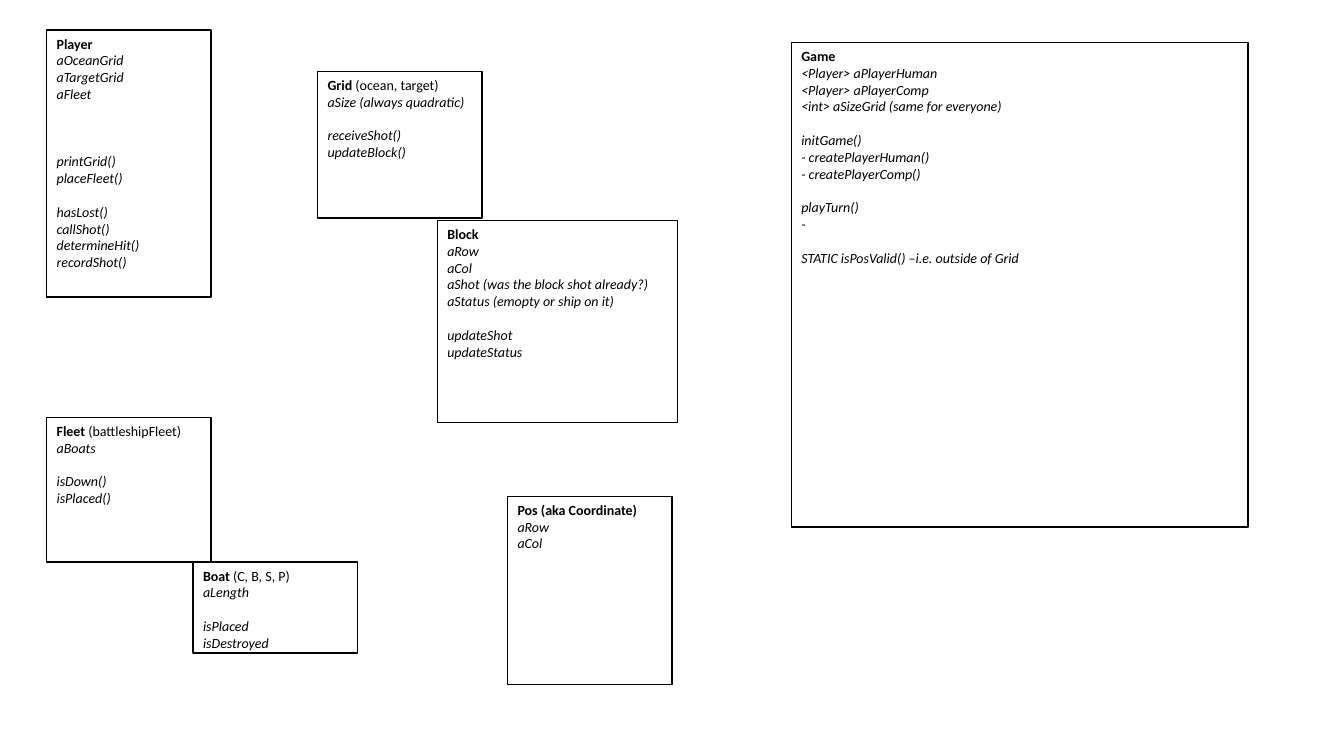
"""Draw the class boxes of a battleship game on one slide."""
from dataclasses import dataclass

from pptx import Presentation
from pptx.dml.color import RGBColor
from pptx.enum.shapes import MSO_SHAPE
from pptx.enum.text import MSO_ANCHOR, PP_ALIGN
from pptx.slide import Slide
from pptx.text.text import _Paragraph, _Run
from pptx.util import Pt

FONT = "Calibri"
SIZE = 10
LINE_HEIGHT = 12
BLACK = "000000"
BOX_WIDTH = 117.4


@dataclass(frozen=True)
class ClassBox:
    name: str
    note: str
    left: float
    top: float
    height: float
    groups: tuple[tuple[str, ...], ...]
    width: float = BOX_WIDTH
    method_gap: int = 1


BOXES = (
    ClassBox("Player", "", 33.4, 21.5, 190.8, (
        ("aOceanGrid", "aTargetGrid", "aFleet"),
        ("printGrid()", "placeFleet()"),
        ("hasLost()", "callShot()", "determineHit()", "recordShot()"),
    ), method_gap=3),
    ClassBox("Grid", " (ocean, target)", 226.9, 51, 104.8, (
        ("aSize (always quadratic)",),
        ("receiveShot()", "updateBlock()"),
    )),
    ClassBox("Boat", " (C, B, S, P)", 138, 401.5, 65, (
        ("aLength",),
        ("isPlaced", "isDestroyed"),
    )),
    ClassBox("Block", "", 312.4, 157.5, 144.2, (
        ("aRow", "aCol", "aShot (was the block shot already?)",
         "aStatus (emopty or ship on it)"),
        ("updateShot", "updateStatus"),
    ), width=171.4),
    ClassBox("Fleet", " (battleshipFleet)", 33.4, 298.2, 103.4, (
        ("aBoats",),
        ("isDown()", "isPlaced()"),
    )),
    ClassBox("Game", "", 565.3, 30.3, 346.2, (
        ("<Player> aPlayerHuman", "<Player> aPlayerComp",
         "<int> aSizeGrid (same for everyone)"),
        ("initGame()", "- createPlayerHuman()", "- createPlayerComp()"),
        ("playTurn()", "-"),
        ("STATIC isPosValid() –i.e. outside of Grid",),
    ), width=326.2),
    ClassBox("Pos (aka Coordinate)", "", 362.6, 354.5, 134.4, (
        ("aRow", "aCol"),
    )),
)


def rgb(color: str) -> RGBColor:
    """Turn a hex string into a colour."""
    return RGBColor.from_string(color)


def format_run(r: _Run, bold: bool = False, italic: bool = False) -> None:
    """Apply the common font to a run."""
    r.font.name = FONT
    r.font.size = Pt(SIZE)
    r.font.bold = bold
    r.font.italic = italic
    r.font.color.rgb = rgb(BLACK)


def format_heading(p: _Paragraph, box: ClassBox) -> None:
    """Write the class name in bold, followed by its note."""
    p.alignment = PP_ALIGN.LEFT
    p.text = box.name
    format_run(p.runs[0], bold=True)
    if box.note:
        r = p.add_run()
        r.text = box.note
        format_run(r)


def draw_box(slide: Slide, box: ClassBox) -> None:
    """Draw one outlined class with its groups of members."""
    sp = slide.shapes.add_shape(MSO_SHAPE.RECTANGLE, Pt(box.left), Pt(box.top),
                                Pt(box.width), Pt(box.height))
    sp.shadow.inherit = False
    sp.fill.background()
    sp.line.color.rgb = rgb(BLACK)
    sp.line.width = Pt(1)
    tf = sp.text_frame
    tf.word_wrap = True
    tf.vertical_anchor = MSO_ANCHOR.TOP
    format_heading(tf.paragraphs[0], box)
    for g, members in enumerate(box.groups):
        gap = box.method_gap if g == 1 else min(g, 1)
        for m, member in enumerate(members):
            p = tf.add_paragraph()
            p.alignment = PP_ALIGN.LEFT
            p.space_before = Pt(gap * LINE_HEIGHT if m == 0 else 0)
            p.text = member
            format_run(p.runs[0], italic=True)


def main() -> None:
    """Build and save the slide."""
    prs = Presentation()
    prs.slide_width, prs.slide_height = Pt(960), Pt(540)
    slide = prs.slides.add_slide(prs.slide_layouts.get_by_name("Blank"))
    for box in BOXES:
        draw_box(slide, box)
    prs.save("out.pptx")


main()
